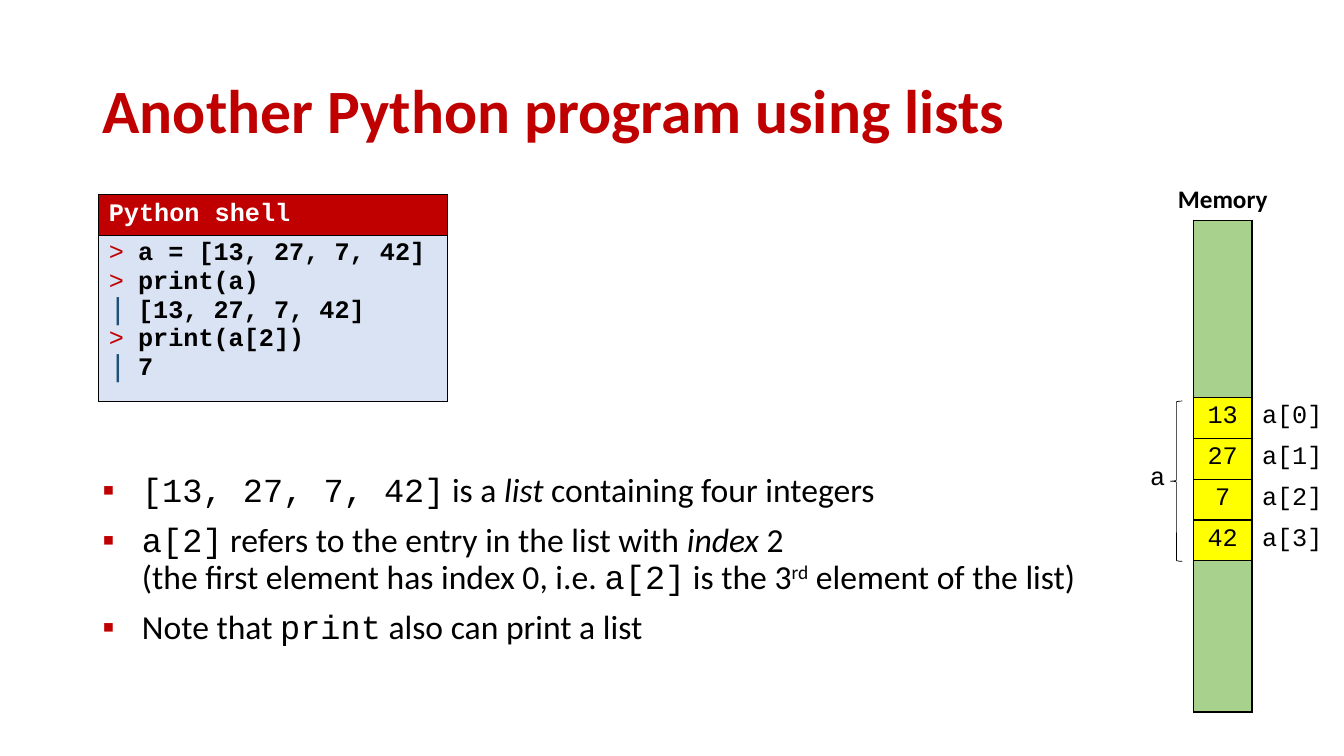
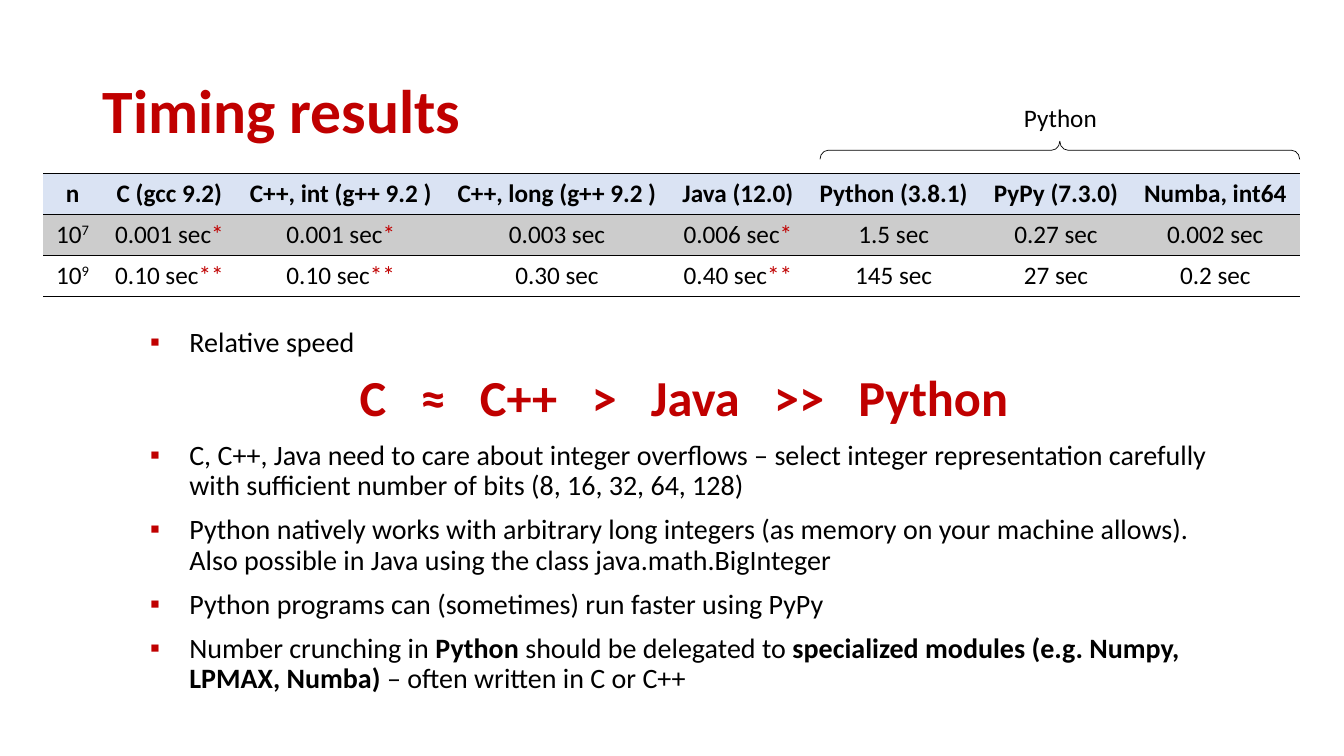
from dataclasses import dataclass
from itertools import product

from lxml import etree
from pptx import Presentation
from pptx.dml.color import RGBColor
from pptx.enum.shapes import MSO_SHAPE
from pptx.enum.text import MSO_ANCHOR, PP_ALIGN
from pptx.oxml.ns import qn
from pptx.util import Inches, Pt

LEFT, CENTER = PP_ALIGN.LEFT, PP_ALIGN.CENTER
TOP, MIDDLE = MSO_ANCHOR.TOP, MSO_ANCHOR.MIDDLE
LEFT_BRACE, RIGHT_BRACE = MSO_SHAPE.LEFT_BRACE, MSO_SHAPE.RIGHT_BRACE

SLIDE_WIDTH, SLIDE_HEIGHT = Inches(13.333), Inches(7.5)
NO_STYLE_NO_GRID = "{2D5ABB26-0587-4C30-8999-92F81FD0307C}"


@dataclass(frozen=True)
class Theme:
    accent: str = "C00000"
    ink: str = "000000"
    paper: str = "FFFFFF"
    output: str = "1F4E79"
    pale: str = "DAE3F3"
    stripe: str = "CCCCCC"
    free: str = "A9D18E"
    used: str = "FFFF00"
    sans: str = "Calibri"
    mono: str = "Courier New"
    title: int = 44
    formula: int = 36
    large: int = 24
    body: int = 20
    label: int = 18
    thin: float = 0.5
    rule: float = 1


@dataclass(frozen=True)
class Bullet:
    char: str
    color: str
    indent: float
    font: str
    percent: int = 100


THEME = Theme()
POINT = Bullet("▪", THEME.accent, 2.93, THEME.sans)
PROMPT = Bullet(">", THEME.accent, 2.17, THEME.mono)
OUTPUT = Bullet("|", THEME.output, 2.17, THEME.mono, 120)

CODE = {"font": THEME.mono}
ITALIC = {"italic": True}
BOLD = {"bold": True}
RAISED = {"raised": 30}
MARK = {"color": THEME.accent}


def across(percent):
    return round(SLIDE_WIDTH * percent / 100)


def down(percent):
    return round(SLIDE_HEIGHT * percent / 100)


def place(left, top, width, height):
    """Turn shares of the slide, in percent, into lengths."""
    return across(left), down(top), across(width), down(height)


def add_xml(parent, tag, **attributes):
    return etree.SubElement(parent, qn(tag), attributes)


def add_bullet(paragraph, bullet):
    properties = paragraph._p.get_or_add_pPr()
    indent = across(bullet.indent)
    properties.set("marL", str(indent))
    properties.set("indent", str(-indent))
    add_xml(add_xml(properties, "a:buClr"), "a:srgbClr", val=bullet.color)
    add_xml(properties, "a:buSzPct", val=str(bullet.percent * 1000))
    add_xml(properties, "a:buFont", typeface=bullet.font)
    add_xml(properties, "a:buChar", char=bullet.char)


def add_run(paragraph, text, font=THEME.sans, size=THEME.label, color=THEME.ink,
            bold=False, italic=False, raised=0, tracking=0):
    run = paragraph.add_run()
    run.text = text
    run.font.name, run.font.size = font, Pt(size)
    run.font.color.rgb = RGBColor.from_string(color)
    run.font.bold, run.font.italic = bold, italic
    properties = run._r.get_or_add_rPr()
    if raised:
        properties.set("baseline", str(raised * 1000))
    if tracking:
        properties.set("spc", str(round(tracking * 100)))


def write(frame, *runs, align=LEFT, bullet=None, line=1.0, before=0, **style):
    """Add a paragraph; a run is a text or a (text, style changes) pair."""
    paragraph = frame.paragraphs[0]
    first = not paragraph.runs
    if not first:
        paragraph = frame.add_paragraph()
    if bullet:
        add_bullet(paragraph, bullet)
    paragraph.alignment, paragraph.line_spacing = align, line
    paragraph.space_before = Pt(0 if first else before)
    for run in runs:
        text, changes = (run, {}) if isinstance(run, str) else run
        for number, part in enumerate(text.split("\n")):
            if number:
                paragraph.add_line_break()
            add_run(paragraph, part, **{**style, **changes})


def add_text_box(slide, *box, anchor=TOP):
    frame = slide.shapes.add_textbox(*place(*box)).text_frame
    frame.word_wrap, frame.vertical_anchor = True, anchor
    return frame


def add_titled_slide(deck, title):
    slide = deck.slides.add_slide(deck.slide_layouts[6])
    write(add_text_box(slide, 6.9, 5.33, 86.25, 19.33, anchor=MIDDLE), title,
          size=THEME.title, color=THEME.accent, bold=True, line=0.9)
    return slide


def add_points(frame, points, size):
    for runs in points:
        write(frame, *runs, bullet=POINT, line=0.9, before=10, size=size)


def add_grid(slide, left, top, columns, rows):
    """Add a plain table whose columns and rows have the given shares."""
    box = place(left, top, sum(columns), sum(rows))
    table = slide.shapes.add_table(len(rows), len(columns), *box).table
    table.first_row = table.horz_banding = False
    table._tbl.tblPr.find(qn("a:tableStyleId")).text = NO_STYLE_NO_GRID
    for column, share in zip(table.columns, columns):
        column.width = across(share)
    for row, share in zip(table.rows, rows):
        row.height = down(share)
    return table


def format_cell(cell, sides="", width=THEME.rule, fill=None):
    """Draw borders on the sides named by letters of LRTB, then fill."""
    properties = cell._tc.get_or_add_tcPr()
    for side in sides:
        border = add_xml(properties, f"a:ln{side}", w=str(Pt(width)))
        add_xml(add_xml(border, "a:solidFill"), "a:srgbClr", val=THEME.ink)
    if fill:
        cell.fill.solid()
        cell.fill.fore_color.rgb = RGBColor.from_string(fill)


def add_brace(slide, kind, box, rotation=0, curl=None):
    brace = slide.shapes.add_shape(kind, *box)
    brace.shadow.inherit = False
    brace.fill.background()
    brace.line.color.rgb = RGBColor.from_string(THEME.ink)
    brace.line.width = Pt(THEME.thin)
    brace.rotation = rotation
    if curl:
        brace.adjustments[0] = curl


def add_shell(slide, lines):
    shell = add_grid(slide, 7.35, 25.73, [25.95], [5.2, 22])
    header, session = shell.cell(0, 0), shell.cell(1, 0)
    format_cell(header, "LRTB", THEME.thin, THEME.accent)
    format_cell(session, "LRTB", THEME.thin, THEME.pale)
    header.vertical_anchor = MIDDLE
    write(header.text_frame, "Python shell", font=THEME.mono,
          color=THEME.paper, bold=True)
    for bullet, text in lines:
        write(session.text_frame, text, bullet=bullet, font=THEME.mono, bold=True)


def add_memory(slide, name, values):
    left, top, side, entry = 81.45, 23.73, 7.35, 5.4
    columns = [side, 4.35, side]
    rows = [entry, 23.47, *[entry] * len(values), 20]
    memory = add_grid(slide, left, top, columns, rows)

    heading = memory.cell(0, 0)
    heading.merge(memory.cell(0, 2))
    write(heading.text_frame, "Memory", align=CENTER, bold=True)

    for row in range(1, len(rows)):
        in_list = 2 <= row < 2 + len(values)
        format_cell(memory.cell(row, 0), "R")
        format_cell(memory.cell(row, 1), "LRTB",
                    fill=THEME.used if in_list else THEME.free)
        format_cell(memory.cell(row, 2), "L")
    for index, value in enumerate(values):
        write(memory.cell(index + 2, 1).text_frame, str(value), align=CENTER, **CODE)
        write(memory.cell(index + 2, 2).text_frame, f"{name}[{index}]", **CODE)

    variable = memory.cell(2, 0)
    variable.merge(memory.cell(1 + len(values), 0))
    variable.vertical_anchor = MIDDLE
    variable.margin_left = across(4.13)
    write(variable.text_frame, name, **CODE)

    add_brace(slide, LEFT_BRACE, place(
        left + 5.63, top + sum(rows[:2]) + 0.45, 0.9, entry * len(values) - 0.4))


def add_timings(slide, headings, results):
    left, top, row_height = 3.23, 22.93, 5.42
    columns = [4.35, 10.05, 15.45, 16.73, 10.2, 12.98, 11.18, 12.53]
    timings = add_grid(slide, left, top, columns, [row_height] * (1 + len(results)))
    looks = [("TB", THEME.pale), ("T", THEME.stripe), ("B", None)]
    for row, column in product(range(len(looks)), range(len(columns))):
        cell = timings.cell(row, column)
        sides, fill = looks[row]
        format_cell(cell, sides, fill=fill)
        if row == 0:
            write(cell.text_frame, headings[column], align=CENTER, bold=True)
            continue
        exponent, *times = results[row - 1]
        if column == 0:
            runs = ["10", (exponent, RAISED)]
        else:
            seconds = times[column - 1].rstrip("*")
            stars = times[column - 1][len(seconds):]
            runs = [f"{seconds} sec"] + ([(stars, MARK)] if stars else [])
        write(cell.text_frame, *runs, align=CENTER)

    # The brace is turned on its side, so its box is set around its centre.
    start = across(left + sum(columns[:5]) + 1)
    length = across(left + sum(columns)) - start
    depth, middle = down(2.4), down(19.87)
    box = (start + (length - depth) // 2, middle - length // 2, depth, length)
    add_brace(slide, RIGHT_BRACE, box, rotation=270, curl=0.455)
    write(add_text_box(slide, 70.2, 12.93, 17.4, 5.33), "Python", align=CENTER)


def build_lists(deck):
    slide = add_titled_slide(deck, "Another Python program using lists")
    add_shell(slide, [
        (PROMPT, "a = [13, 27, 7, 42]"),
        (PROMPT, "print(a)"),
        (OUTPUT, "[13, 27, 7, 42]"),
        (PROMPT, "print(a[2])"),
        (OUTPUT, "7"),
    ])
    add_points(add_text_box(slide, 6.9, 62, 75.15, 31.2), [
        [("[13, 27, 7, 42]", CODE), " is a ", ("list", ITALIC),
         " containing four integers"],
        [("a[2]", CODE), " refers to the entry in the list with ", ("index", ITALIC),
         " 2\n(the first element has index 0, i.e. ", ("a[2]", CODE),
         " is the 3", ("rd", RAISED), " element of the list)"],
        ["Note that ", ("print", CODE), " also can print a list"],
    ], THEME.large)
    add_memory(slide, "a", [13, 27, 7, 42])


def build_timings(deck):
    slide = add_titled_slide(deck, "Timing results")
    body = add_text_box(slide, 10.43, 42.8, 80.93, 52.8)
    add_points(body, [["Relative speed"]], THEME.body)
    ranking = []
    for term in "C ≈ C++ > Java >> Python".split():
        ranking += [(" ", {"tracking": 16.3}), term]
    write(body, *ranking[1:], align=CENTER, line=0.9, before=10,
          size=THEME.formula, color=THEME.accent, bold=True)
    add_points(body, [
        ["C, C++, Java need to care about integer overflows – select integer "
         "representation carefully with sufficient number of bits "
         "(8, 16, 32, 64, 128)"],
        ["Python natively works with arbitrary long integers (as memory on your "
         "machine allows). Also possible in Java using the class "
         "java.math.BigInteger"],
        ["Python programs can (sometimes) run faster using PyPy"],
        ["Number crunching in ", ("Python", BOLD), " should be delegated to ",
         ("specialized modules (e.g. Numpy, LPMAX, Numba) ", BOLD),
         "– often written in C or C++"],
    ], THEME.body)
    add_timings(
        slide,
        ["n", "C (gcc 9.2)", "C++, int (g++ 9.2 )", "C++, long (g++ 9.2 )",
         "Java (12.0)", "Python (3.8.1)", "PyPy (7.3.0)", "Numba, int64"],
        [["7", "0.001*", "0.001*", "0.003", "0.006*", "1.5", "0.27", "0.002"],
         ["9", "0.10**", "0.10**", "0.30", "0.40**", "145", "27", "0.2"]])


def main():
    deck = Presentation()
    deck.slide_width, deck.slide_height = SLIDE_WIDTH, SLIDE_HEIGHT
    build_lists(deck)
    build_timings(deck)
    deck.save("out.pptx")


if __name__ == "__main__":
    main()
